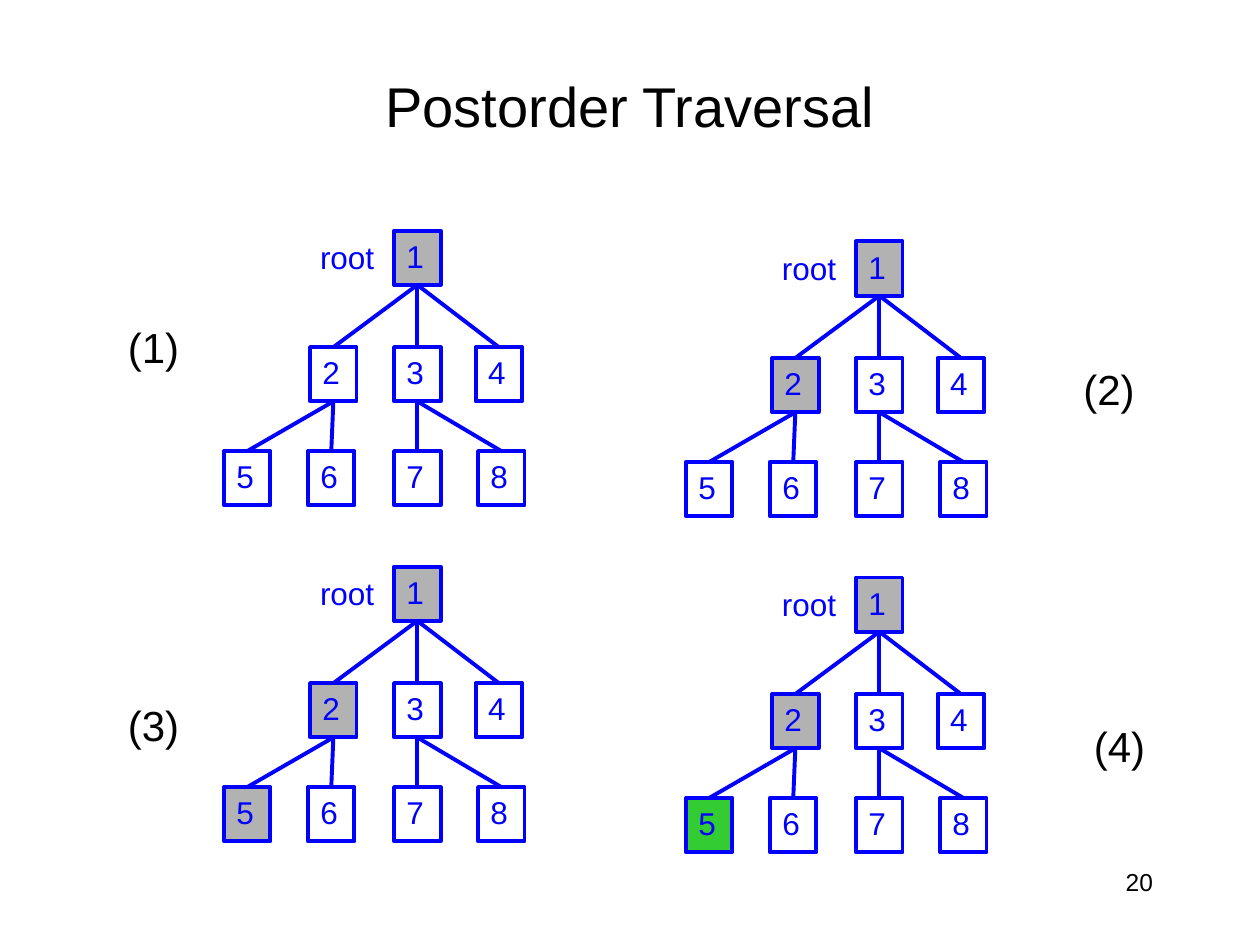
"""Builds a slide with four steps of a postorder tree traversal."""
from typing import NamedTuple

from lxml.etree import SubElement
from pptx import Presentation
from pptx.dml.color import RGBColor
from pptx.enum.shapes import MSO_CONNECTOR as Link, MSO_SHAPE as Shape
from pptx.enum.text import MSO_ANCHOR as Anchor, MSO_AUTO_SIZE as Fit, PP_ALIGN as Align
from pptx.oxml.ns import qn
from pptx.util import Pt

BLACK = RGBColor(0, 0, 0)
BLUE = RGBColor(0, 0, 255)
GRAY = RGBColor(0xB2, 0xB2, 0xB2)
GREEN = RGBColor(0x33, 0xCC, 0x33)
FONT = "Arial"
LINE = 2.25
BOX_W, BOX_H = 26.6, 31
LEFT, TOP = 225.2, 131.8
STEP_X, STEP_Y, DROP = 264, 192, 6.2
MID, LOW = 66.6, 126


class Node(NamedTuple):
    name: str
    x: float
    y: float


class Step(NamedTuple):
    label: str
    x: float
    y: float
    fills: dict[str, RGBColor]


NODES = [
    Node("1", 0, 0),
    Node("2", -48, MID), Node("3", 0, MID), Node("4", 46.6, MID),
    Node("5", -97.2, LOW), Node("6", -49.2, LOW), Node("7", 0, LOW), Node("8", 48, LOW),
]
EDGES = ["13", "12", "14", "25", "26", "37", "38"]
STEPS = [
    Step("(1)", 66, 180, {"1": GRAY}),
    Step("(2)", 612, 204, {"1": GRAY, "2": GRAY}),
    Step("(3)", 66, 396, {"1": GRAY, "2": GRAY, "5": GRAY}),
    Step("(4)", 618, 408, {"1": GRAY, "2": GRAY, "5": GREEN}),
]


def write(shape, text: str, *, size: float, color: RGBColor = BLACK, align=Align.LEFT,
          anchor=Anchor.TOP, wrap: bool = False) -> None:
    frame = shape.text_frame
    frame.word_wrap = wrap
    frame.auto_size = Fit.NONE if wrap else Fit.SHAPE_TO_FIT_TEXT
    frame.vertical_anchor = anchor
    para = frame.paragraphs[0]
    para.alignment = align
    run = para.add_run()
    run.text = text
    run.font.name, run.font.size = FONT, Pt(size)
    run.font.color.rgb = color


def add_text(slide, text: str, x: float, y: float, w: float, h: float, **style) -> None:
    write(slide.shapes.add_textbox(Pt(x), Pt(y), Pt(w), Pt(h)), text, **style)


def add_node(slide, node: Node, x: float, y: float, fill: RGBColor | None):
    box = slide.shapes.add_shape(
        Shape.RECTANGLE, Pt(x + node.x), Pt(y + node.y), Pt(BOX_W), Pt(BOX_H))
    box.shadow.inherit = False
    if fill is None:
        box.fill.background()
    else:
        box.fill.solid()
        box.fill.fore_color.rgb = fill
    box.line.color.rgb, box.line.width = BLUE, Pt(LINE)
    write(box, node.name, size=18, color=BLUE)
    return box


def add_edge(slide, upper, lower) -> None:
    edge = slide.shapes.add_connector(Link.STRAIGHT, 0, 0, 0, 0)
    edge.begin_connect(upper, 2)
    edge.end_connect(lower, 0)
    edge.line.color.rgb, edge.line.width = BLUE, Pt(LINE)
    SubElement(edge._element.spPr, qn("a:effectLst"))


def add_tree(slide, x: float, y: float, fills: dict[str, RGBColor]) -> None:
    boxes = {node.name: add_node(slide, node, x, y, fills.get(node.name)) for node in NODES}
    for upper, lower in EDGES:
        add_edge(slide, boxes[upper], boxes[lower])
    add_text(slide, "root", x - 49.4, y + 0.7, 45.4, 29, size=18, color=BLUE)


def main() -> None:
    deck = Presentation()
    deck.slide_width, deck.slide_height = Pt(720), Pt(540)
    slide = deck.slides.add_slide(deck.slide_layouts[6])
    add_text(slide, "Postorder Traversal", 54, 30, 612, 60, size=32,
             align=Align.CENTER, anchor=Anchor.MIDDLE, wrap=True)
    for i, step in enumerate(STEPS):
        row, col = divmod(i, 2)
        add_tree(slide, LEFT + col * STEP_X, TOP + row * STEP_Y + col * DROP, step.fills)
        add_text(slide, step.label, step.x, step.y, 44, 36, size=24)
    add_text(slide, "20", 516, 492, 150, 36, size=14, align=Align.RIGHT, wrap=True)
    deck.save("out.pptx")


if __name__ == "__main__":
    main()
